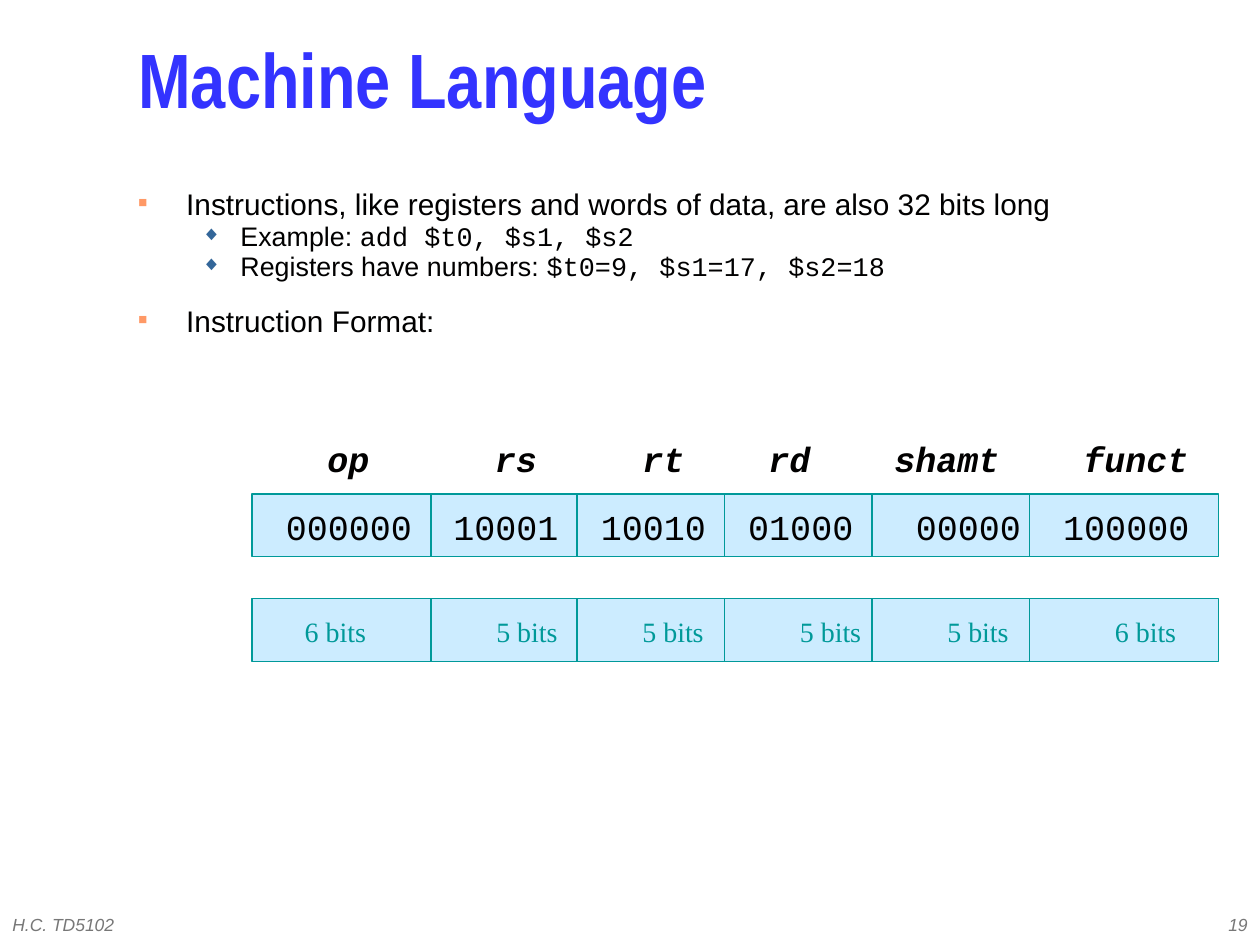
"""Build the Machine Language slide with the 32-bit MIPS instruction format."""
from dataclasses import dataclass

from lxml import etree
from pptx import Presentation
from pptx.dml.color import RGBColor
from pptx.enum.shapes import MSO_CONNECTOR, MSO_SHAPE
from pptx.enum.text import MSO_ANCHOR, PP_ALIGN
from pptx.oxml.ns import qn
from pptx.util import Inches, Pt


@dataclass(frozen=True)
class Theme:
    title: RGBColor = RGBColor(0x33, 0x33, 0xFF)
    ink: RGBColor = RGBColor(0x01, 0x00, 0x00)
    footer: RGBColor = RGBColor(0x77, 0x77, 0x77)
    teal: RGBColor = RGBColor(0x00, 0x99, 0x99)
    band: RGBColor = RGBColor(0xCC, 0xEC, 0xFF)
    topic_bullet: str = "FF9966"
    detail_bullet: str = "336699"
    title_size: float = 44
    topic_size: float = 17
    detail_size: float = 15.3
    code_size: float = 20
    bits_size: float = 16
    footer_size: float = 10


THEME = Theme()
SANS, MONO, SERIF = "Arial", "Courier New", "Times New Roman"

prs = Presentation()
prs.slide_width, prs.slide_height = Inches(10), Inches(7.5)
slide = prs.slides.add_slide(prs.slide_layouts[6])


def style(font, name, size, color, bold=False, italic=False):
    font.name, font.size, font.color.rgb = name, Pt(size), color
    font.bold, font.italic = bold, italic


def add_text(left, top, width, height, text="", anchor=MSO_ANCHOR.TOP, stops=()):
    box = slide.shapes.add_textbox(Inches(left), Inches(top), Inches(width), Inches(height))
    frame = box.text_frame
    frame.word_wrap, frame.vertical_anchor = True, anchor
    paragraph = frame.paragraphs[0]
    paragraph.text = text
    if stops:
        tabs = etree.SubElement(paragraph._p.get_or_add_pPr(), qn("a:tabLst"))
        for stop in stops:
            etree.SubElement(tabs, qn("a:tab"), pos=str(Inches(stop)), algn="l")
    return frame


for left, width, text, align in (
    (0, 3.17, "H.C. TD5102", PP_ALIGN.LEFT),
    (7.92, 2.08, "19", PP_ALIGN.RIGHT),
):
    footer = add_text(left, 7.17, width, 0.33, text, MSO_ANCHOR.MIDDLE).paragraphs[0]
    footer.alignment = align
    style(footer.font, SANS, THEME.footer_size, THEME.footer, italic=True)

title = add_text(1, 0.17, 8.58, 1.08, "Machine Language", MSO_ANCHOR.MIDDLE).paragraphs[0]
title.line_spacing = 0.7
style(title.font, "Arial Narrow", THEME.title_size, THEME.title, bold=True)

TOPIC = (0, 0.38, 0.38, "■", THEME.topic_bullet, 50, THEME.topic_size)
DETAIL = (1, 0.81, 0.31, "◆", THEME.detail_bullet, 75, THEME.detail_size)
body = add_text(1, 1.5, 9, 1.75)
for index, (kind, space_before, label, code) in enumerate((
    (TOPIC, 0, "Instructions, like registers and words of data, are also 32 bits long", ""),
    (DETAIL, 4.5, "Example: ", "add $t0, $s1, $s2"),
    (DETAIL, 4.5, "Registers have numbers: ", "$t0=9, $s1=17, $s2=18"),
    (TOPIC, 18, "Instruction Format:", ""),
)):
    level, margin, hanging, bullet, bullet_color, bullet_percent, size = kind
    point = body.add_paragraph() if index else body.paragraphs[0]
    point.level, point.line_spacing, point.space_before = level, 0.7, Pt(space_before)
    props = point._p.get_or_add_pPr()
    props.set("marL", str(Inches(margin)))
    props.set("indent", str(-Inches(hanging)))
    color = etree.SubElement(props, qn("a:buClr"))
    etree.SubElement(color, qn("a:srgbClr"), val=bullet_color)
    etree.SubElement(props, qn("a:buSzPct"), val=str(bullet_percent * 1000))
    etree.SubElement(props, qn("a:buFont"), typeface=SANS)
    etree.SubElement(props, qn("a:buChar"), char=bullet)
    for text, font_name in ((label, SANS), (code, MONO)):
        if text:
            run = point.add_run()
            run.text = text
            style(run.font, font_name, size, THEME.ink)

BAND_LEFT, BAND_WIDTH, BAND_HEIGHT = 2, 7.67, 0.5
for top in (3.92, 4.75):
    band = slide.shapes.add_shape(
        MSO_SHAPE.RECTANGLE, Inches(BAND_LEFT), Inches(top), Inches(BAND_WIDTH), Inches(BAND_HEIGHT))
    band.shadow.inherit = False
    band.fill.solid()
    band.fill.fore_color.rgb = THEME.band
    band.line.color.rgb, band.line.width = THEME.teal, Pt(0.75)
    for x in (3.42, 4.58, 5.75, 6.92, 8.17):
        divider = slide.shapes.add_connector(
            MSO_CONNECTOR.STRAIGHT, Inches(x), Inches(top), Inches(x), Inches(top + BAND_HEIGHT))
        divider.line.color.rgb, divider.line.width = THEME.teal, Pt(0.75)
        etree.SubElement(divider._element.spPr, qn("a:effectLst"))

for left, bits in zip((2.32, 3.84, 5, 6.25, 7.42, 8.75), (6, 5, 5, 5, 5, 6)):
    width_label = add_text(left, 4.83, 0.75, 0.37, f"{bits} bits").paragraphs[0]
    style(width_label.font, SERIF, THEME.bits_size, THEME.teal)

values = add_text(2.17, 4, 7.37, 0.4, "000000\t10001\t10010\t01000\t00000\t100000",
                  stops=(1.33, 2.5, 3.67, 5, 6.17)).paragraphs[0]
values.line_spacing = 0.9
style(values.font, MONO, THEME.code_size, THEME.ink)

names = add_text(2.5, 3.42, 7.04, 0.44, "op\trs\trt\trd\tshamt\tfunct",
                 stops=(1.33, 2.5, 3.5, 4.5, 6)).paragraphs[0]
style(names.font, MONO, THEME.code_size, THEME.ink, bold=True, italic=True)

prs.save("out.pptx")
